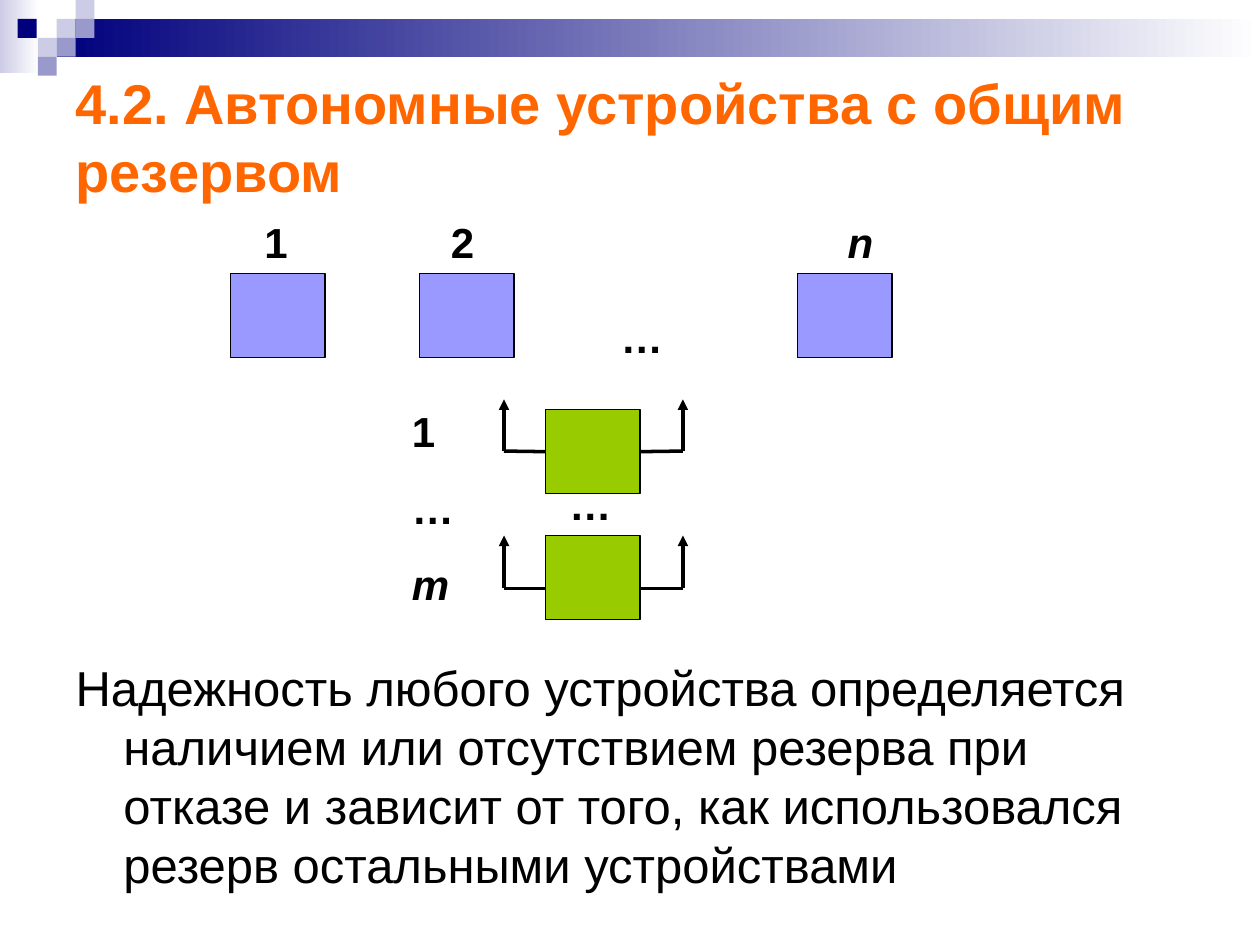
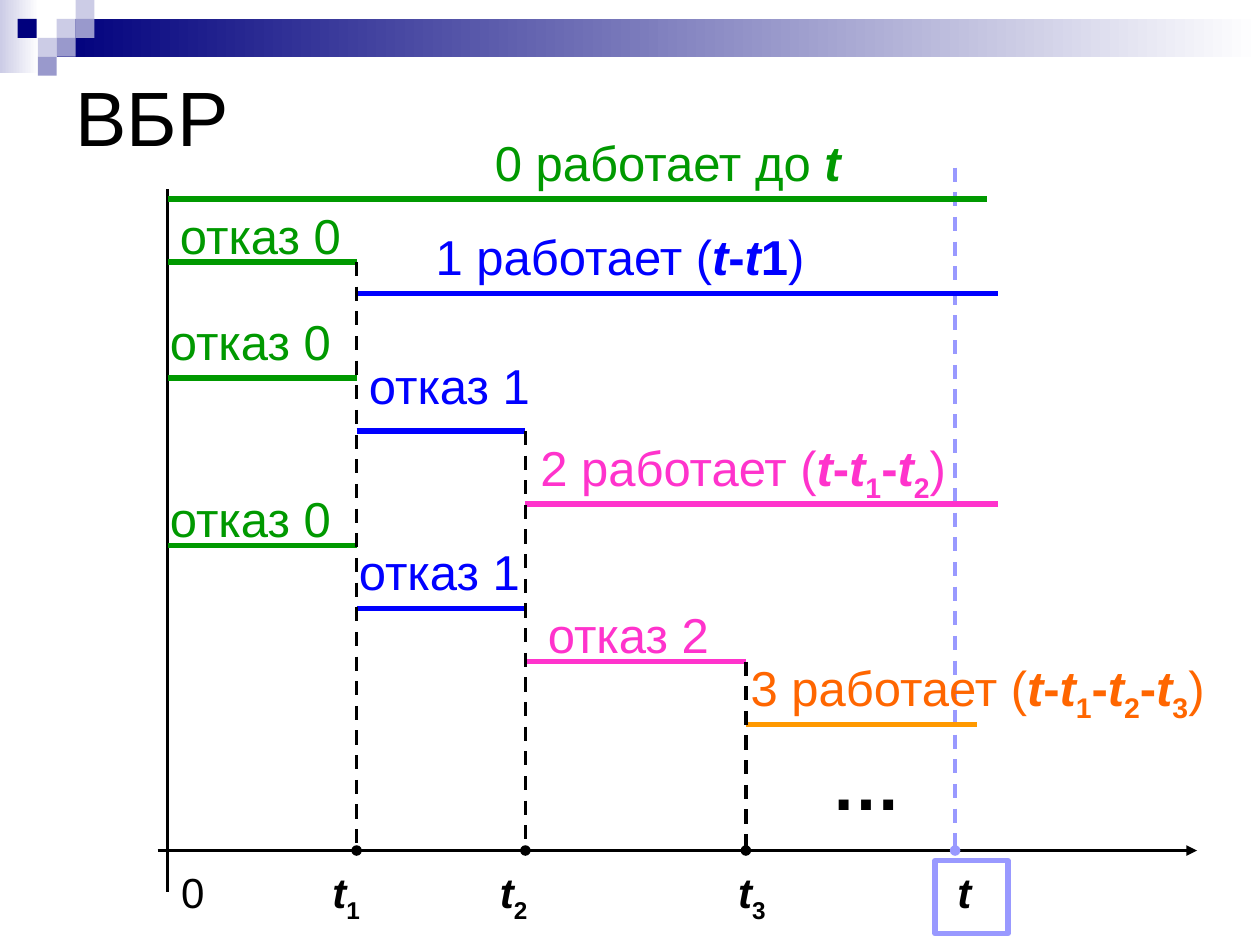
"""Build two slides on standby redundancy: the device scheme and the failure timeline."""
from dataclasses import dataclass

from lxml import etree
from pptx import Presentation
from pptx.dml.color import RGBColor
from pptx.enum.dml import MSO_LINE
from pptx.enum.shapes import MSO_CONNECTOR, MSO_SHAPE
from pptx.enum.text import MSO_ANCHOR, MSO_AUTO_SIZE, PP_ALIGN
from pptx.oxml.ns import qn
from pptx.util import Inches, Pt

RECTANGLE = MSO_SHAPE.RECTANGLE
STRAIGHT = MSO_CONNECTOR.STRAIGHT
DASH = MSO_LINE.DASH
LEFT = PP_ALIGN.LEFT
MIDDLE, TOP = MSO_ANCHOR.MIDDLE, MSO_ANCHOR.TOP
NO_AUTOFIT = MSO_AUTO_SIZE.NONE
LEFT_SIDE, RIGHT_SIDE = 1, 3


@dataclass(frozen=True)
class Theme:
    font: str = "Arial"
    black: str = "000000"
    white: str = "FFFFFF"
    navy: str = "00007D"
    pale: str = "CCCCE6"
    lilac: str = "9999CC"
    periwinkle: str = "9999FF"
    lime: str = "99CC00"
    green: str = "009900"
    blue: str = "0000FF"
    pink: str = "FF33CC"
    amber: str = "FF9900"
    orange: str = "FF6600"
    mark: int = 24
    body: int = 28
    heading: int = 32
    dots: int = 40
    big_heading: int = 44


THEME = Theme()

FADES = [
    (0, 0, 0.31, 0.58, THEME.pale),
    (0.45, 0.15, 9.55, 0.3, THEME.navy),
]
TILE = 0.15
TILES = [
    (0.45, 0.15, THEME.pale), (0.6, 0, THEME.pale), (0.6, 0.15, THEME.lilac),
    (0.3, 0.3, THEME.pale), (0.14, 0.15, THEME.navy), (0.45, 0.3, THEME.lilac),
    (0.3, 0.45, THEME.lilac),
]

SCHEME_TITLE = "4.2. Автономные устройства с общим резервом"
SCHEME_NOTE = ("Надежность любого устройства определяется наличием или отсутствием "
               "резерва при отказе и зависит от того, как использовался резерв "
               "остальными устройствами")
UNIT_WIDTH, UNIT_HEIGHT = 0.75, 0.67
DEVICE_TOP = 2.17
DEVICES = [(1.83, 2.0, "1", "b"), (3.33, 3.48, "2", "b"), (6.33, 6.63, "n", "bi")]
SPARE_LEFT = 4.33
SPARES = [(3.25, 3.58, 3.17), (4.25, 4.67, 4.25)]
ARM_ENDS = (4, 5.42)
SPARE_NUMBERS = [("1", "b"), ("…", "b"), ("m", "bi")]
ELLIPSES = [(4.42, 3.75), (4.83, 2.42)]

TIMELINE_TITLE = "ВБР"
AXIS_Y = 6.75
START, T1, T2, T3, END = 1.33, 2.83, 4.17, 5.92, 7.58
DEVICE_COLORS = [THEME.green, THEME.blue, THEME.pink, THEME.amber]
RUNS_OF_WORK = [
    (0, START, 7.83, 1.58),
    (0, START, T1, 2.08), (1, T1, 7.92, 2.33),
    (0, START, T1, 3), (1, T1, T2, 3.42), (2, T2, 7.92, 4),
    (0, START, T1, 4.33), (1, T1, T2, 4.83), (2, T2, T3, 5.25), (3, T3, 7.75, 5.75),
]
FAILURE_MOMENTS = [(T1, 2.08), (T2, 3.42), (T3, 5.25)]
FAILURE_LABELS = [
    (0, 1.33, 1.58), (0, 1.25, 2.42), (1, 2.83, 2.77),
    (0, 1.25, 3.83), (1, 2.75, 4.25), (2, 4.25, 4.75),
]
TIME = ("t", "bi")


def moment(index):
    return [TIME, (str(index), "bs")]


def remaining(device):
    """Return the runs for a device working through what is left of t."""
    runs = [(f"{device} работает (", ""), TIME]
    for index in range(1, device + 1):
        runs += [("-", "b"), *moment(index)]
    return runs + [(")", "")]


WORK_LABELS = [
    (3.83, 1, 3.5, THEME.green, [("0 работает до ", ""), TIME]),
    (3.36, 1.75, 4.1, THEME.blue,
     [("1 работает (", ""), TIME, ("-", "b"), TIME, ("1", "b"), (")", "")]),
    (4.19, 3.42, 4.1, THEME.pink, remaining(2)),
    (5.86, 5.17, 4.14, THEME.orange, remaining(3)),
]
AXIS_LABELS = [
    (1.34, [("0", "")]), (2.54, moment(1)), (3.87, moment(2)),
    (5.76, moment(3)), (7.5, [TIME]),
]


def rgb(color):
    return RGBColor.from_string(color)


def place(shape, left, top, width, height):
    shape.left, shape.top = Inches(left), Inches(top)
    shape.width, shape.height = Inches(width), Inches(height)


def format_run(run, size, color, style=""):
    """Apply the theme font; style letters are b(old), i(talic), s(ubscript)."""
    font = run.font
    font.name, font.size = THEME.font, Pt(size)
    font.color.rgb = rgb(color)
    font.bold, font.italic = "b" in style, "i" in style
    if "s" in style:
        run._r.get_or_add_rPr().set("baseline", "-25000")


def add_label(slide, box, paragraphs, size, color=THEME.black):
    frame = slide.shapes.add_textbox(*map(Inches, box)).text_frame
    frame.word_wrap = True
    for index, runs in enumerate(paragraphs):
        paragraph = frame.add_paragraph() if index else frame.paragraphs[0]
        paragraph.space_before = Pt(15 if index else 0)
        for text, style in runs:
            run = paragraph.add_run()
            run.text = text
            format_run(run, size, color, style)


def add_box(slide, left, top, width, height, fill=None, line=None, weight=0.75):
    box = slide.shapes.add_shape(RECTANGLE, *map(Inches, (left, top, width, height)))
    box.shadow.inherit = False
    if fill:
        box.fill.solid()
        box.fill.fore_color.rgb = rgb(fill)
    else:
        box.fill.background()
    if line:
        box.line.color.rgb = rgb(line)
        box.line.width = Pt(weight)
    else:
        box.line.fill.background()
    return box


def add_line(slide, start, end, color=THEME.black, weight=2, dashed=False, tip=None):
    line = slide.shapes.add_connector(STRAIGHT, *map(Inches, (*start, *end)))
    line.line.color.rgb = rgb(color)
    line.line.width = Pt(weight)
    if dashed:
        line.line.dash_style = DASH
    properties = line.element.spPr
    if tip:
        etree.SubElement(properties.find(qn("a:ln")), qn("a:tailEnd"), type=tip)
    etree.SubElement(properties, qn("a:effectLst"))
    return line


def fill_placeholder(placeholder, box, text, size, color, style="", anchor=MIDDLE):
    place(placeholder, *box)
    frame = placeholder.text_frame
    frame.text = text
    frame.auto_size = NO_AUTOFIT
    frame.vertical_anchor = anchor
    paragraph = frame.paragraphs[0]
    paragraph.alignment = LEFT
    format_run(paragraph.runs[0], size, color, style)
    return paragraph


def decorate_master(master, slide):
    """Draw the header band and move it behind everything on the master."""
    parts = []
    for left, top, width, height, color in FADES:
        fade = add_box(slide, left, top, width, height, color)
        fade.fill.gradient()
        fade.fill.gradient_angle = 0
        for stop, shade in zip(fade.fill.gradient_stops, (color, THEME.white)):
            stop.color.rgb = rgb(shade)
        parts.append(fade)
    parts += [add_box(slide, left, top, TILE, TILE, color) for left, top, color in TILES]
    for index, part in enumerate(parts):
        part.element.nvSpPr.cNvPr.set("id", str(100 + index))
        master.shapes.element.insert(2 + index, part.element)


def build_scheme(slide):
    fill_placeholder(slide.shapes.title, (0.5, 0.33, 9, 1.5), SCHEME_TITLE,
                     THEME.heading, THEME.orange, "b")
    note = fill_placeholder(slide.placeholders[1], (0.5, 5.17, 9, 2), SCHEME_NOTE,
                            THEME.body, THEME.black, anchor=TOP)
    note.space_before = Pt(7)
    indents = note._p.get_or_add_pPr()
    indents.set("marL", str(Inches(0.38)))
    indents.set("indent", str(Inches(-0.38)))
    etree.SubElement(indents, qn("a:buNone"))

    for left, label_left, name, style in DEVICES:
        add_box(slide, left, DEVICE_TOP, UNIT_WIDTH, UNIT_HEIGHT,
                THEME.periwinkle, THEME.black)
        add_label(slide, (label_left, 1.67, 0.5, 0.5), [[(name, style)]], THEME.mark)

    sides = zip(ARM_ENDS, (SPARE_LEFT, SPARE_LEFT + UNIT_WIDTH), (LEFT_SIDE, RIGHT_SIDE))
    arms = list(sides)
    for top, arm_y, tip_y in SPARES:
        spare = add_box(slide, SPARE_LEFT, top, UNIT_WIDTH, UNIT_HEIGHT,
                        THEME.lime, THEME.black)
        centered = abs(top + UNIT_HEIGHT / 2 - arm_y) < 0.02
        for outer, inner, side in arms:
            arm = add_line(slide, (outer, arm_y), (inner, arm_y))
            if centered:
                arm.end_connect(spare, side)
            add_line(slide, (outer, arm_y), (outer, tip_y), tip="triangle")

    add_label(slide, (3.17, 3.17, 0.6, 1.72), [[number] for number in SPARE_NUMBERS],
              THEME.mark)
    for left, top in ELLIPSES:
        add_label(slide, (left, top, 0.67, 0.5), [[("…", "b")]], THEME.mark)


def build_timeline(slide):
    fill_placeholder(slide.shapes.title, (0.5, 0.42, 2, 1), TIMELINE_TITLE,
                     THEME.big_heading, THEME.black)
    add_line(slide, (START, 1.5), (START, 7.08))
    add_line(slide, (1.25, AXIS_Y), (9.5, AXIS_Y), tip="triangle")
    add_line(slide, (END, 1.33), (END, AXIS_Y), THEME.periwinkle, dashed=True, tip="oval")
    for device, begin, finish, y in RUNS_OF_WORK:
        add_line(slide, (begin, y), (finish, y), DEVICE_COLORS[device], 3)
    for x, top in FAILURE_MOMENTS:
        add_line(slide, (x, top), (x, AXIS_Y), dashed=True, tip="oval")

    add_box(slide, 7.42, 6.83, 0.58, 0.58, line=THEME.periwinkle, weight=3)
    for left, runs in AXIS_LABELS:
        add_label(slide, (left, 6.83, 0.7, 0.56), [runs], THEME.mark)
    for left, top, width, color, runs in WORK_LABELS:
        add_label(slide, (left, top, width, 0.6), [runs], THEME.body, color)
    for device, left, top in FAILURE_LABELS:
        add_label(slide, (left, top, 1.58, 0.57), [[(f"отказ {device}", "")]],
                  THEME.body, DEVICE_COLORS[device])
    add_label(slide, (6.5, 5.83, 0.75, 0.77), [[("…", "b")]], THEME.dots)


def main():
    deck = Presentation()
    deck.slide_width, deck.slide_height = Inches(10), Inches(7.5)
    title_and_body, title_only = deck.slide_layouts[1], deck.slide_layouts[5]
    scheme = deck.slides.add_slide(title_and_body)
    decorate_master(deck.slide_master, scheme)
    build_scheme(scheme)
    build_timeline(deck.slides.add_slide(title_only))
    deck.save("out.pptx")


if __name__ == "__main__":
    main()
